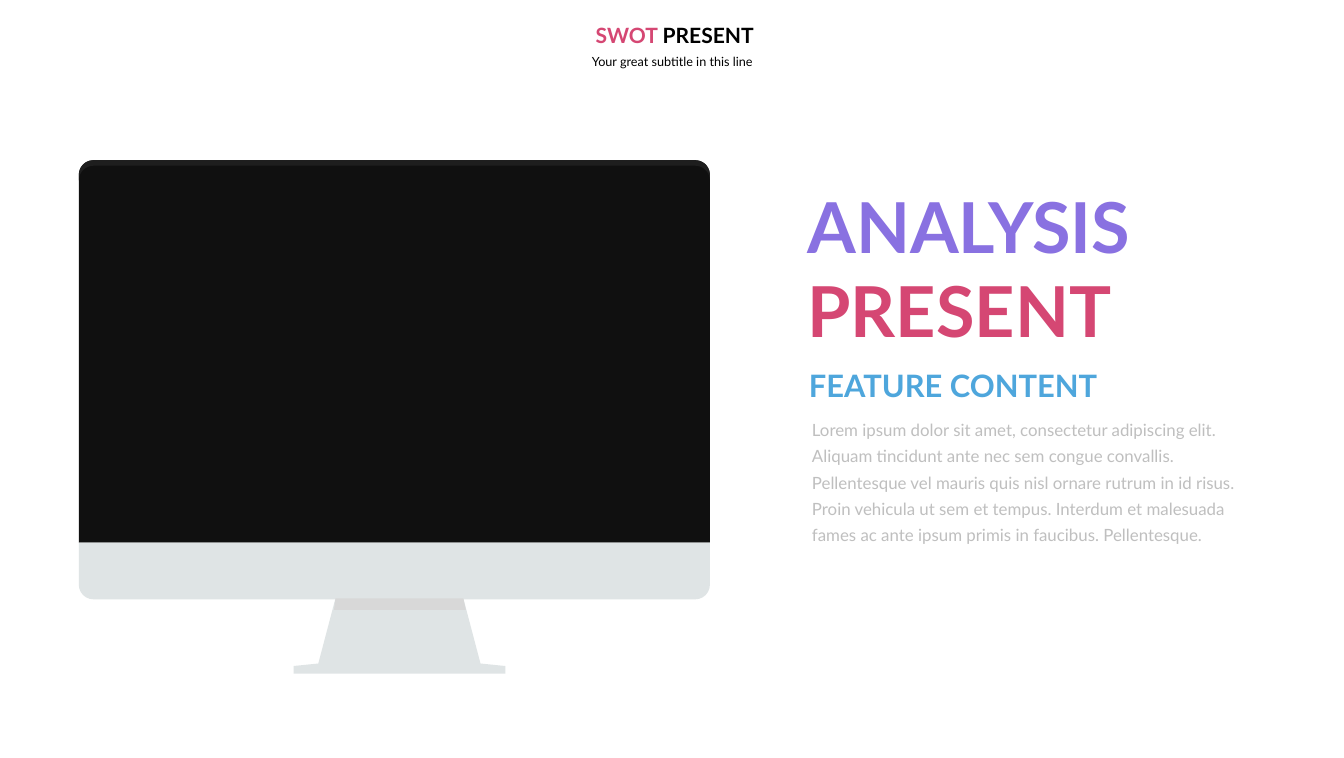
import math

from pptx import Presentation
from pptx import util as u
from pptx.dml.color import RGBColor
from pptx.enum import shapes, text

ROSE, GREY, BLACK = "D54773", "DFE4E5", "000000"
LEFT, TOP, WIDE, CHIN, RAD = 1.56, 3.17, 12.49, 10.74, 0.29


def paint(item, tint):
    """Give a fill or font colour its hex value."""
    if hasattr(item, "solid"):
        item.solid()
        item.fore_color.rgb = RGBColor.from_string(tint)
    else:
        item.color.rgb = RGBColor.from_string(tint)


def finish(shape, tint):
    """Make a shape flat, filled and without an outline."""
    shape.shadow.inherit = False
    paint(shape.fill, tint)
    shape.line.fill.background()


def panel(group, top, high, tint, upper=0, lower=0):
    """Draw a full-width panel with rounded upper or lower corners."""
    kind = shapes.MSO_SHAPE.ROUND_2_SAME_RECTANGLE
    box = group.shapes.add_shape(kind, *map(u.Inches, (LEFT, top, WIDE, high)))
    box.adjustments[0] = upper / high
    box.adjustments[1] = lower / high
    finish(box, tint)


def outline(group, points, tint):
    """Draw a closed polygon through points in inches."""
    dots = [(u.Inches(x), u.Inches(y)) for x, y in points]
    path = group.shapes.build_freeform(*dots[0])
    path.add_line_segments(dots[1:], close=True)
    finish(path.convert_to_shape(), tint)


def edge(drop):
    """Return the rounded top edge of the screen, lowered by drop."""
    mid = TOP + RAD + drop
    ends = ((LEFT + RAD, 180), (LEFT + WIDE - RAD, 270))
    return [(x + RAD * math.cos(math.radians(start + turn)),
             mid + RAD * math.sin(math.radians(start + turn)))
            for x, start in ends for turn in range(0, 91, 10)]


def write(box, place, parts, size, bold=False, pad=(0.1, 0.05), center=False,
          line=None, middle=False):
    """Place a text shape and fill it with coloured runs."""
    box.left, box.top, box.width, box.height = map(u.Inches, place)
    frame = box.text_frame
    frame.word_wrap = True
    frame.auto_size = text.MSO_AUTO_SIZE.NONE
    frame.vertical_anchor = text.MSO_ANCHOR.MIDDLE if middle else text.MSO_ANCHOR.TOP
    frame.margin_left = frame.margin_right = u.Inches(pad[0])
    frame.margin_top = frame.margin_bottom = u.Inches(pad[1])
    para = frame.paragraphs[0]
    para.alignment = text.PP_ALIGN.CENTER if center else text.PP_ALIGN.LEFT
    para.space_before = u.Pt(0)
    para.line_spacing = line
    for words, tint in parts:
        run = para.add_run()
        run.text = words
        run.font.name, run.font.size, run.font.bold = "Lato", u.Pt(size), bold
        paint(run.font, tint)


def plain(para):
    """Strip the bullet and indent from a body paragraph."""
    props = para._p.get_or_add_pPr()
    props.set("marL", "0")
    props.set("indent", "0")
    props.append(props.makeelement(
        "{http://schemas.openxmlformats.org/drawingml/2006/main}buNone", {}))


def screen(slide):
    """Draw the desktop monitor."""
    group = slide.shapes.add_group_shape()
    panel(group, TOP, CHIN - TOP, "101010", upper=RAD)
    outline(group, edge(0) + edge(0.11)[::-1], "1E1E1E")
    panel(group, CHIN, 1.12, GREY, lower=RAD)
    outline(group, [(5.81, 13.33), (5.81, 13.18), (6.3, 13.13), (6.64, 11.84),
                    (9.17, 11.84), (9.51, 13.13), (10, 13.18), (10, 13.33)], GREY)
    outline(group, [(6.61, 12.07), (6.64, 11.84), (9.17, 11.84), (9.22, 12.07)],
            "D8D8D8")


def main():
    """Build the slide and save it."""
    deck = Presentation()
    deck.slide_width, deck.slide_height = u.Inches(26.6), u.Inches(15)
    slide = deck.slides.add_slide(deck.slide_layouts[1])
    title, body = slide.placeholders

    def fresh():
        """Add an empty text box."""
        return slide.shapes.add_textbox(0, 0, 0, 0)

    screen(slide)
    write(title, (8.3, 0.34, 10.11, 0.71), [("SWOT ", ROSE), ("PRESENT", BLACK)],
          30, bold=True, pad=(0.2, 0.1), center=True)
    write(fresh(), (9.22, 0.95, 8.17, 0.55),
          [("Your great subtitle in this line", BLACK)],
          18, pad=(0.24, 0.12), center=True)
    write(fresh(), (15.88, 3.58, 7.84, 3.47),
          [("ANALYSIS ", "8971E1"), ("PRESENT", ROSE)], 100, bold=True)
    write(fresh(), (15.91, 7.21, 7.52, 0.84), [("FEATURE CONTENT", "4EA6DC")],
          44, bold=True)
    lorem = ("Lorem ipsum dolor sit amet, consectetur adipiscing elit. "
             "Aliquam tincidunt ante nec sem congue convallis. "
             "Pellentesque vel mauris quis nisl ornare rutrum in id risus. "
             "Proin vehicula ut sem et tempus. Interdum et malesuada fames ac "
             "ante ipsum primis in faucibus. Pellentesque.")
    plain(body.text_frame.paragraphs[0])
    write(body, (15.8, 8.04, 9.37, 2.89), [(lorem, "BFBFBF")], 24,
          pad=(0.27, 0.13), line=1.3, middle=True)
    deck.save("out.pptx")


if __name__ == "__main__":
    main()
